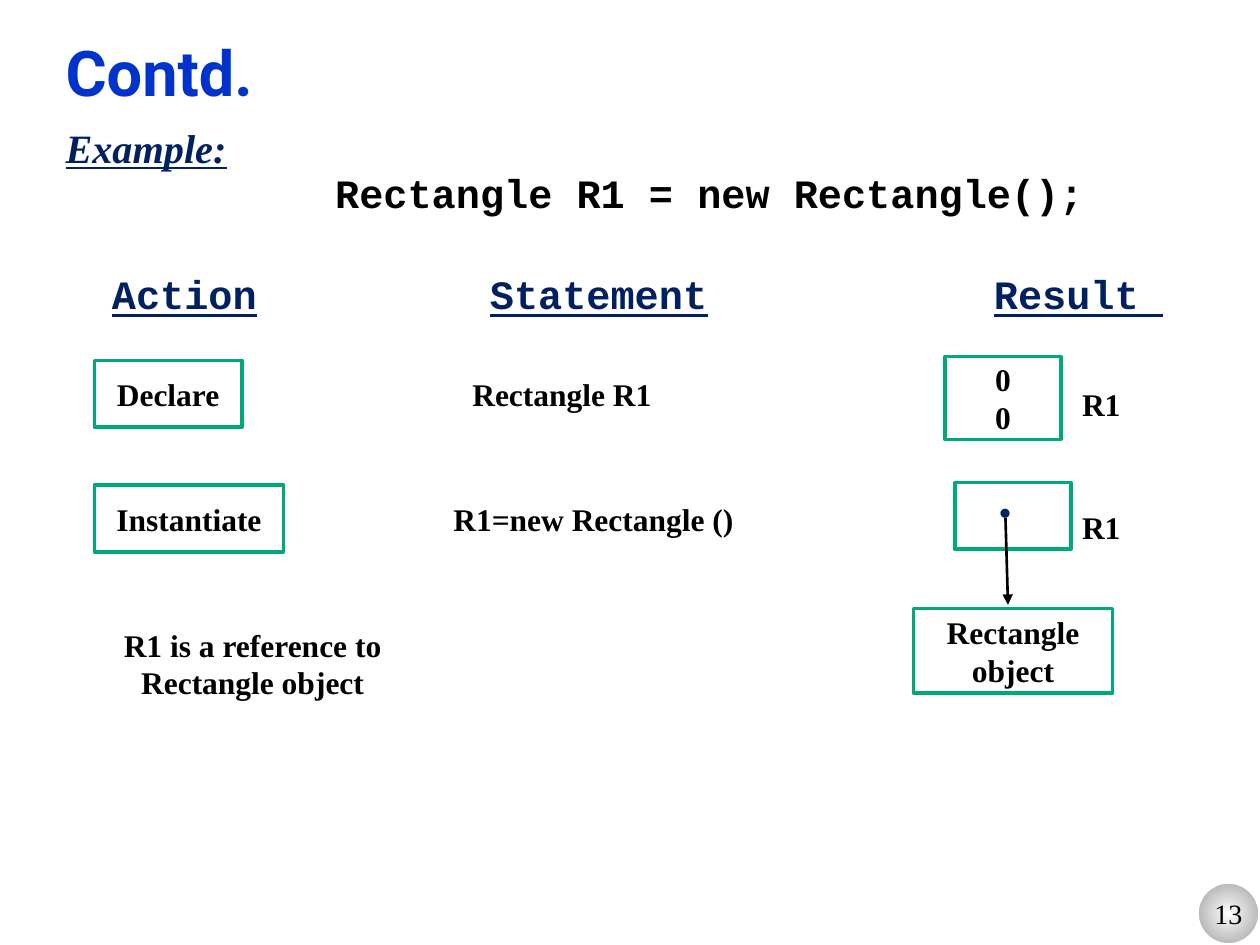
from dataclasses import dataclass

from lxml import etree
from pptx import Presentation
from pptx.dml.color import RGBColor
from pptx.enum.shapes import MSO_CONNECTOR, MSO_SHAPE
from pptx.enum.text import MSO_ANCHOR, MSO_AUTO_SIZE, PP_ALIGN
from pptx.oxml.ns import qn
from pptx.util import Inches, Pt

RECTANGLE, ELLIPSE = MSO_SHAPE.RECTANGLE, MSO_SHAPE.OVAL
STRAIGHT = MSO_CONNECTOR.STRAIGHT
LEFT, CENTER = PP_ALIGN.LEFT, PP_ALIGN.CENTER
TOP, MIDDLE, BOTTOM = MSO_ANCHOR.TOP, MSO_ANCHOR.MIDDLE, MSO_ANCHOR.BOTTOM
NO_AUTOFIT = MSO_AUTO_SIZE.NONE


@dataclass(frozen=True)
class Theme:
    """Colours, fonts and type sizes of the slide."""

    title: RGBColor = RGBColor.from_string("0033CC")
    heading: RGBColor = RGBColor.from_string("002060")
    text: RGBColor = RGBColor.from_string("000000")
    outline: RGBColor = RGBColor.from_string("00A97C")
    white: RGBColor = RGBColor.from_string("FFFFFF")
    grey: RGBColor = RGBColor.from_string("979797")
    title_font: str = "Roboto"
    serif: str = "Times New Roman"
    mono: str = "Courier New"
    title_size: Pt = Pt(36)
    body_size: Pt = Pt(23)
    label_size: Pt = Pt(18)
    number_size: Pt = Pt(16)
    dot_size: Pt = Pt(32)


THEME = Theme()
LABEL = {"name": THEME.serif, "size": THEME.label_size, "bold": True, "color": THEME.text}
CODE = {"name": THEME.mono, "size": THEME.body_size, "bold": True, "color": THEME.text}
HEADING = {**CODE, "color": THEME.heading, "underline": True}
EXAMPLE = {**HEADING, "name": THEME.serif, "italic": True}
TITLE = {"name": THEME.title_font, "size": THEME.title_size, "bold": True, "color": THEME.title}
NUMBER = {**LABEL, "size": THEME.number_size, "bold": False}
DOT = {**LABEL, "size": THEME.dot_size, "color": THEME.heading}


def set_attributes(target, values):
    """Set every attribute named in values."""
    for name, value in values.items():
        setattr(target, name, value)


def place(shape, *box):
    """Move and size a shape, in inches."""
    set_attributes(shape, dict(zip(("left", "top", "width", "height"), map(Inches, box))))


def add_run(paragraph, text, style):
    """Add one formatted run."""
    run = paragraph.add_run()
    run.text = text
    set_attributes(run.font, {name: value for name, value in style.items() if name != "color"})
    run.font.color.rgb = style["color"]


def write_label(shape, lines, style=LABEL, wrap=True, alignment=CENTER):
    """Write lines into a shape, centred unless told otherwise."""
    frame = shape.text_frame
    set_attributes(frame, {"word_wrap": wrap, "vertical_anchor": MIDDLE})
    for index, line in enumerate(lines):
        paragraph = frame.add_paragraph() if index else frame.paragraphs[0]
        paragraph.alignment = alignment
        add_run(paragraph, line, style)


def add_text(slide, box, text, style=LABEL, alignment=CENTER):
    """Add a plain text box."""
    text_box = slide.shapes.add_textbox(*map(Inches, box))
    write_label(text_box, [text], style, alignment=alignment)


def add_box(slide, box, *lines):
    """Add an outlined rectangle with centred lines."""
    shape = slide.shapes.add_shape(RECTANGLE, *map(Inches, box))
    shape.shadow.inherit = False
    shape.fill.background()
    shape.line.color.rgb = THEME.outline
    shape.line.width = Pt(2)
    write_label(shape, lines)


def add_title(slide, text):
    """Fill the title placeholder."""
    title = slide.shapes.title
    place(title, 0.42, 0.25, 9.17, 0.67)
    set_attributes(title.text_frame, {"vertical_anchor": BOTTOM, "auto_size": NO_AUTOFIT})
    paragraph = title.text_frame.paragraphs[0]
    paragraph.alignment = LEFT
    add_run(paragraph, text, TITLE)


def format_body_paragraph(paragraph, indent=0, space_before=0):
    """Remove the bullet and set indent and spacing."""
    properties = paragraph._p.get_or_add_pPr()
    properties.set("marL", str(Inches(indent)))
    properties.set("indent", "0")
    etree.SubElement(properties, qn("a:buNone"))
    values = {"alignment": LEFT, "line_spacing": 0.8, "space_before": Pt(space_before)}
    set_attributes(paragraph, values)


def add_body(slide):
    """Fill the body with the example and its code."""
    body = slide.placeholders[1]
    place(body, 0.42, 1, 9.17, 1)
    frame = body.text_frame
    set_attributes(frame, {"vertical_anchor": TOP, "auto_size": NO_AUTOFIT})
    example, code = frame.paragraphs[0], frame.add_paragraph()
    format_body_paragraph(example)
    add_run(example, "Example:", EXAMPLE)
    format_body_paragraph(code, indent=2.14, space_before=4)
    add_run(code, "Rectangle R1 = new Rectangle();", CODE)


def add_column_headings(slide):
    """Add a heading above each column."""
    for left, heading in ((0.79, "Action"), (3.79, "Statement"), (7.79, "Result ")):
        add_text(slide, (left, 2.08, 2.1, 0.5), heading, HEADING, LEFT)


def add_arrow(slide, start, end):
    """Draw an arrow between two points."""
    arrow = slide.shapes.add_connector(STRAIGHT, *map(Inches, start + end))
    arrow.line.color.rgb = THEME.text
    arrow.line.width = Pt(1.5)
    etree.SubElement(arrow.line._get_or_add_ln(), qn("a:tailEnd"), type="triangle")
    etree.SubElement(arrow._element.spPr, qn("a:effectLst"))


def add_slide_number(slide, number):
    """Add the round number badge with a radial gradient."""
    badge = slide.shapes.add_shape(ELLIPSE, *map(Inches, (9.5, 7, 0.5, 0.5)))
    badge.shadow.inherit = False
    badge.line.color.rgb = THEME.white
    badge.line.width = Pt(2)
    badge.fill.gradient()
    for stop, color in zip(badge.fill.gradient_stops, (THEME.white, THEME.grey)):
        stop.color.rgb = color
    gradient = badge._element.spPr.find(qn("a:gradFill"))
    gradient.remove(gradient.find(qn("a:lin")))
    circle = etree.SubElement(gradient, qn("a:path"), path="circle")
    sides = dict.fromkeys("ltrb", "50000")
    etree.SubElement(circle, qn("a:fillToRect"), sides)
    write_label(badge, [number], NUMBER, wrap=False)


def main():
    """Build and save the slide."""
    presentation = Presentation()
    set_attributes(presentation, {"slide_width": Inches(10), "slide_height": Inches(7.5)})
    slide = presentation.slides.add_slide(presentation.slide_layouts[1])
    add_slide_number(slide, "13")
    add_title(slide, "Contd.")
    add_body(slide)
    add_column_headings(slide)
    add_box(slide, (7.5, 2.83, 0.92, 0.66), "0", "0")
    add_box(slide, (0.75, 2.86, 1.17, 0.53), "Declare")
    add_text(slide, (3.5, 2.86, 1.92, 0.53), "Rectangle R1")
    add_box(slide, (7.58, 3.83, 0.92, 0.53))
    add_box(slide, (0.75, 3.85, 1.5, 0.53), "Instantiate")
    add_text(slide, (3.42, 3.85, 2.58, 0.53), "R1=new Rectangle ()")
    for top in (2.94, 3.92):
        add_text(slide, (8.45, top, 0.58, 0.53), "R1")
    add_box(slide, (7.25, 4.83, 1.58, 0.67), "Rectangle object")
    add_text(slide, (0.76, 4.78, 2.49, 0.97), "R1 is a reference to Rectangle object")
    add_text(slide, (7.8, 3.75, 0.36, 0.36), ".", DOT)
    add_arrow(slide, (7.98, 4.11), (8, 4.8))
    presentation.save("out.pptx")


if __name__ == "__main__":
    main()
